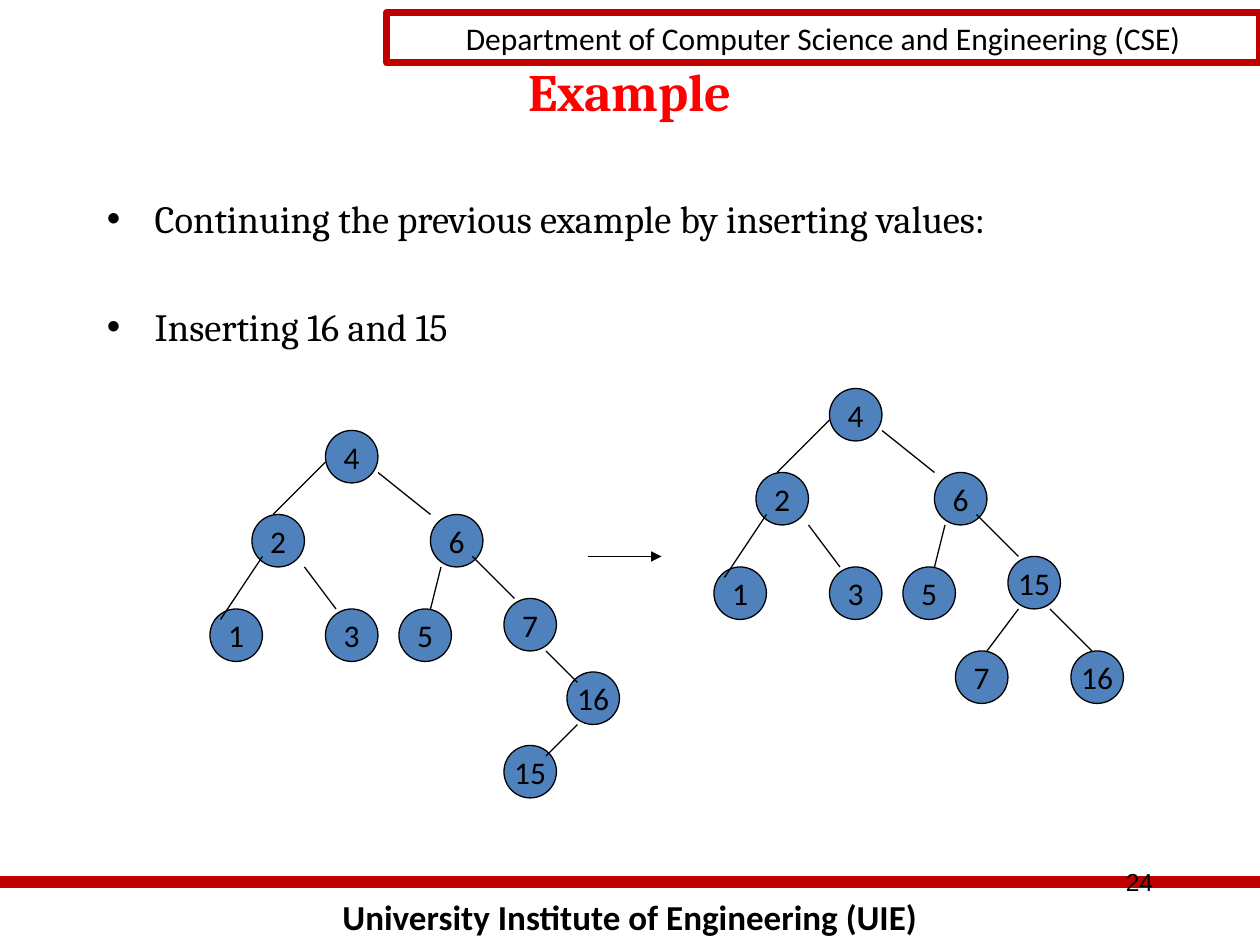
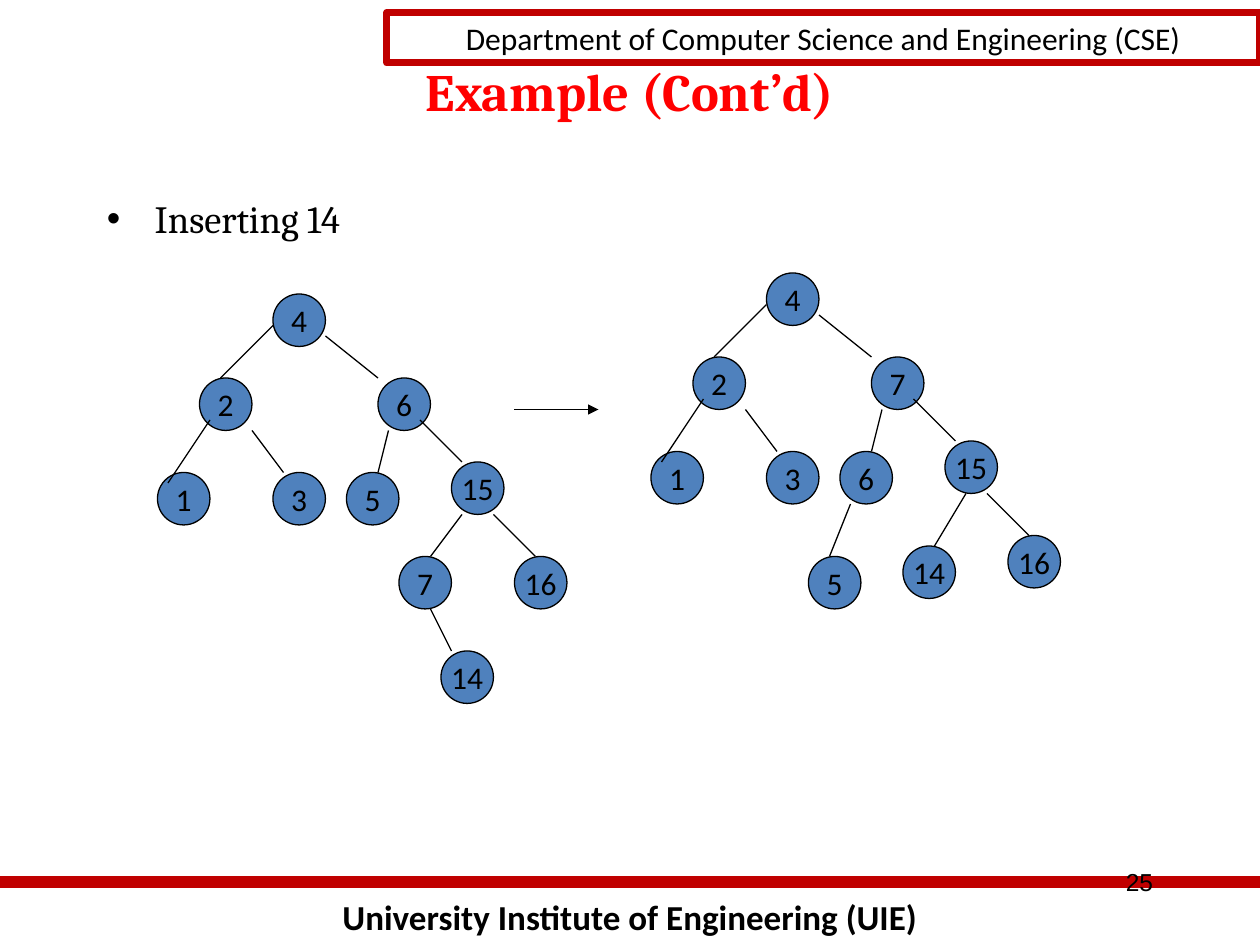
from lxml import etree
from pptx import Presentation
from pptx import util as u
from pptx.dml.color import RGBColor
from pptx.enum import shapes, text
from pptx.oxml import ns

RED, TITLE, NODE, BLACK = "C00000", "FF0000", "4F81BD", "000000"
CELL = 1 / 12
NODE_SIZE = 5
CORE_SLOTS = [(11, 0), (4, 8), (21, 8), (0, 17), (11, 17), (18, 17), (28, 16)]
CORE_EDGES = [(11, 3, 6, 8), (16, 4, 21, 8), (5, 12, 1, 18),
              (9, 13, 12, 17), (22, 13, 21, 17), (25, 12, 29, 16)]
RIGHT_EDGE = (32, 21, 36, 25)
LEFT_EDGE = (29, 21, 26, 25)

SLIDES = [
    {"number": 24, "title": "Example",
     "bullets": ["Continuing the previous example by inserting values:",
                 "Inserting 16 and 15"],
     "arrow": (56, 53, 63, 53),
     "trees": [
         {"origin": (20, 41), "core": [4, 2, 6, 1, 3, 5, 7],
          "extra": [(16, 34, 23), (15, 28, 30)],
          "edges": [(32, 21, 35, 24), (35, 28, 32, 31)]},
         {"origin": (68, 37), "core": [4, 2, 6, 1, 3, 5, 15],
          "extra": [(16, 34, 25), (7, 23, 25)],
          "edges": [RIGHT_EDGE, LEFT_EDGE]}]},
    {"number": 25, "title": "Example (Cont’d)",
     "bullets": ["Inserting 14"],
     "arrow": (49, 39, 57, 39),
     "trees": [
         {"origin": (15, 28), "core": [4, 2, 6, 1, 3, 5, 15],
          "extra": [(16, 34, 25), (7, 23, 25), (14, 27, 34)],
          "edges": [RIGHT_EDGE, LEFT_EDGE, (26, 30, 28, 34)]},
         {"origin": (62, 26), "core": [4, 2, 7, 1, 3, 6, 15],
          "extra": [(16, 34, 25), (5, 15, 27), (14, 24, 26)],
          "edges": [RIGHT_EDGE, (19, 22, 17, 27), (30, 21, 27, 26)]}]},
]


def rgb(color):
    """Turn a hex string into a colour."""
    return RGBColor.from_string(color)


def inches(values):
    """Turn numbers into lengths."""
    return [u.Inches(v) for v in values]


def write(p, words, size, color=BLACK, align=text.PP_ALIGN.CENTER, **font):
    """Put one formatted run into a paragraph."""
    p.alignment = align
    r = p.add_run()
    r.text = str(words)
    r.font.color.rgb = rgb(color)
    for name, value in {"name": "Calibri", "size": u.Pt(size), **font}.items():
        setattr(r.font, name, value)


def add_text(s, box, *args, **kwargs):
    """Add a wrapping text box with one paragraph."""
    tf = s.shapes.add_textbox(*inches(box)).text_frame
    tf.word_wrap = True
    write(tf.paragraphs[0], *args, **kwargs)


def add_outlined(s, kind, box, words, line, width, fill=None, wrap=True):
    """Add a preset shape with a centred label."""
    sp = s.shapes.add_shape(kind, *inches(box))
    sp.shadow.inherit = False
    if fill:
        sp.fill.solid()
        sp.fill.fore_color.rgb = rgb(fill)
    else:
        sp.fill.background()
    sp.line.color.rgb = rgb(line)
    sp.line.width = u.Pt(width)
    tf = sp.text_frame
    tf.word_wrap = wrap
    tf.vertical_anchor = text.MSO_ANCHOR.MIDDLE
    write(tf.paragraphs[0], words, 18)


def add_line(s, ends, color=BLACK, width=0.75, arrow=False):
    """Add a straight line, with an arrowhead if asked."""
    c = s.shapes.add_connector(shapes.MSO_CONNECTOR.STRAIGHT, *inches(ends))
    c.line.color.rgb = rgb(color)
    c.line.width = u.Pt(width)
    if arrow:
        etree.SubElement(c.line._get_or_add_ln(), ns.qn("a:tailEnd"), type="triangle")
    etree.SubElement(c._element.spPr, ns.qn("a:effectLst"))


def add_frame(s, number, title):
    """Add the header, title, footer and slide number."""
    add_text(s, (0, 7.06, 10, 0.44), "University Institute of Engineering (UIE)",
             20, bold=True)
    add_line(s, (0, 7, 10, 7), RED, 7)
    add_outlined(s, shapes.MSO_SHAPE.RECTANGLE, (3.07, 0.1, 6.93, 0.4),
                 "Department of Computer Science and Engineering (CSE)", RED, 4)
    add_text(s, (7.17, 6.83, 2.08, 0.5), number, 14,
             align=text.PP_ALIGN.RIGHT, name="Arial")
    add_text(s, (0.75, 0.42, 8.5, 0.83), title, 30, TITLE, name="Cambria", bold=True)


def add_bullets(s, box, items):
    """Add the bulleted statements with wide gaps between them."""
    tf = s.shapes.add_textbox(*inches(box)).text_frame
    tf.word_wrap = True
    for i, item in enumerate(items):
        p = tf.add_paragraph() if i else tf.paragraphs[0]
        p.space_before = u.Pt(35 if i else 4.4)
        write(p, item, 22, align=text.PP_ALIGN.LEFT, name="Cambria")
        pPr = p._p.get_or_add_pPr()
        pPr.set("marL", str(u.Inches(0.38)))
        pPr.set("indent", str(u.Inches(-0.38)))
        etree.SubElement(pPr, ns.qn("a:buFont"), typeface="Arial")
        etree.SubElement(pPr, ns.qn("a:buChar"), char="•")


def add_tree(s, origin, core, extra, edges):
    """Draw a binary tree on the grid from its origin."""
    left, top = origin
    nodes = [(key, *slot) for key, slot in zip(core, CORE_SLOTS)] + extra
    for key, x, y in nodes:
        box = [v * CELL for v in (left + x, top + y, NODE_SIZE, NODE_SIZE)]
        add_outlined(s, shapes.MSO_SHAPE.OVAL, box, key, BLACK, 0.75, NODE, False)
    for x1, y1, x2, y2 in CORE_EDGES + edges:
        add_line(s, [v * CELL for v in (left + x1, top + y1, left + x2, top + y2)])


def add_example(prs, number, title, bullets, arrow, trees):
    """Build one slide showing a tree before and after rebalancing."""
    s = prs.slides.add_slide(prs.slide_layouts[6])
    add_frame(s, number, title)
    add_bullets(s, (0.75, 1.5, 8.5, 5.17), bullets)
    for tree in trees:
        add_tree(s, **tree)
    add_line(s, [v * CELL for v in arrow], arrow=True)


def main():
    """Build and save the slides."""
    prs = Presentation()
    prs.slide_width, prs.slide_height = inches((10, 7.5))
    for slide in SLIDES:
        add_example(prs, **slide)
    prs.save("out.pptx")


if __name__ == "__main__":
    main()
